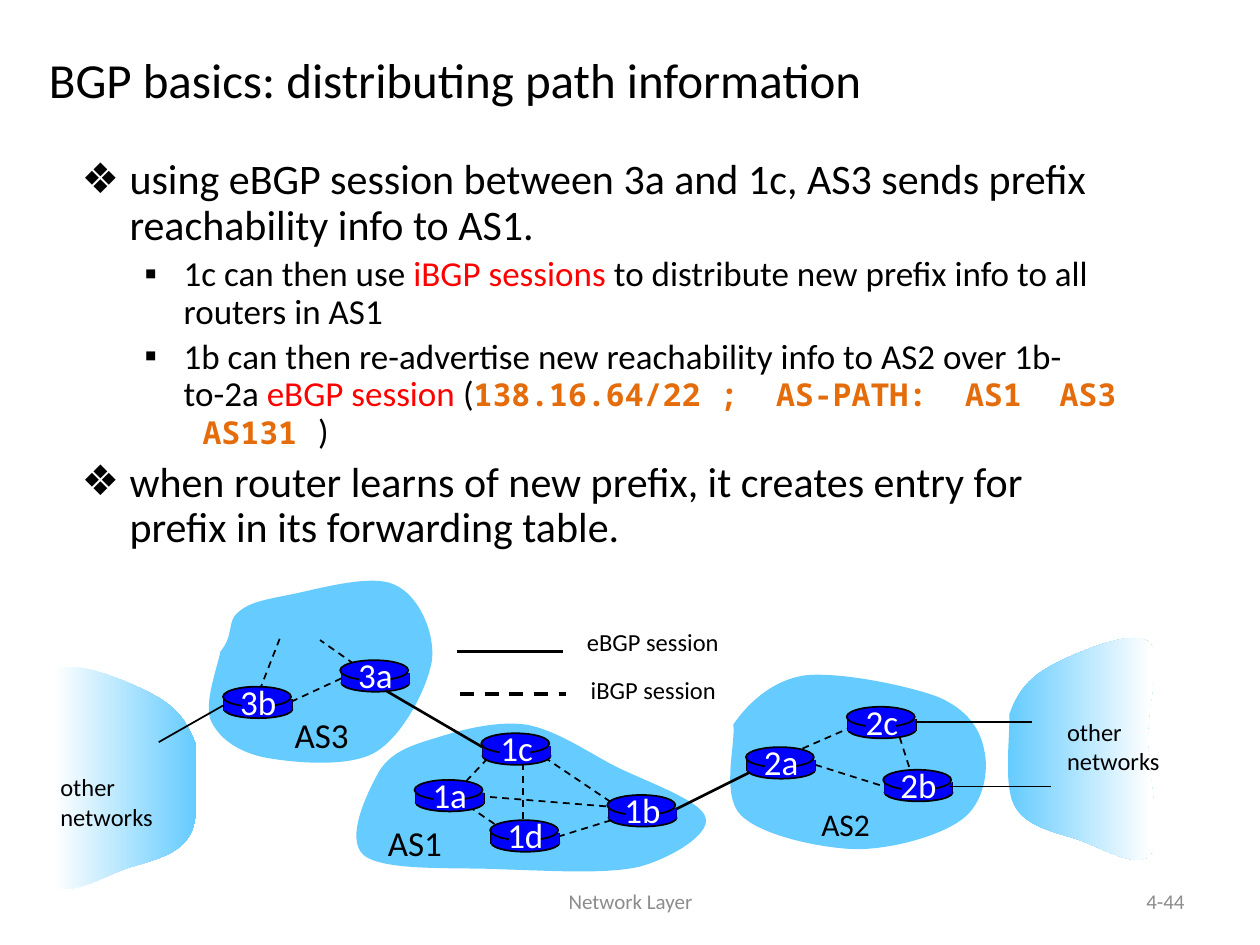
import pptx
import pptx.dml.color
import pptx.enum.dml
import pptx.enum.shapes
import pptx.enum.text
import pptx.oxml
import pptx.oxml.ns
import pptx.util
from pptx.util import Inches

COLORS = {"ink": "000000", "paper": "FFFFFF", "cloud": "66CCFF", "router": "0000FF",
          "term": "FF0000", "route": "E46C0A", "footer": "8C8C8C"}
FONT, MONO = "Calibri", "Noto Sans Mono"
SHAPE = pptx.enum.shapes.MSO_SHAPE
ALIGN = pptx.enum.text.PP_ALIGN
MIDDLE = pptx.enum.text.MSO_ANCHOR.MIDDLE
NAMESPACE = pptx.oxml.ns.nsdecls("a")

# Outlines in inches from the box corner: a start point, then Bezier triples.
OTHER_NETWORK = [(.05, .68), (.11, .52), (.19, .4), (.37, .3), (.55, .2), (1.02, 0), (1.15, .1),
                 (1.28, .19), (1.14, .6), (1.15, .88), (1.15, 1.17), (1.27, 1.66), (1.17, 1.79),
                 (1.08, 1.92), (.77, 1.73), (.59, 1.67), (.4, 1.61), (.18, 1.57), (.09, 1.4),
                 (0, 1.24), (.06, .83), (.05, .68)]
OTHER_WIDTH = 1.28
SYSTEMS = [
    {"name": "AS2", "size": 18, "box": (5.72, 5.33), "name_at": (.7, 1.01),
     "outline": [(.1, .42), (.21, .26), (.4, .07), (.67, .03), (.94, 0), (1.48, .11), (1.72, .2),
                 (1.96, .3), (2.06, .46), (2.09, .62), (2.13, .78), (2.09, 1.04), (1.92, 1.17),
                 (1.75, 1.3), (1.37, 1.41), (1.07, 1.41), (.78, 1.4), (.32, 1.3), (.16, 1.14),
                 (0, .98), (.12, .57), (.1, .42)],
     "links": [(.56, .65, 1.04, .44), (.75, .74, 1.29, .91), (1.42, .52, 1.5, .77)],
     "routers": {"2a": (.2, .6), "2c": (1, .28), "2b": (1.29, .78)}},
    {"name": "AS3", "size": 20, "box": (1.62, 4.55), "name_at": (.62, 1.06),
     "outline": [(.13, .62), (.24, .49), (.18, .38), (.27, .31), (.36, .23), (.48, .21), (.68, .17),
                 (.89, .13), (1.32, 0), (1.51, .09), (1.7, .17), (1.83, .46), (1.81, .68),
                 (1.78, .9), (1.58, 1.29), (1.36, 1.42), (1.14, 1.55), (.68, 1.5), (.47, 1.46),
                 (.25, 1.41), (.11, 1.3), (.05, 1.16), (0, 1.02), (.11, .73), (.13, .62)],
     "links": [(.69, 1.02, 1.12, .82), (1.19, .72, .92, .53), (.6, .52, .44, .93)],
     "routers": {"3b": (.15, .9), "3a": (1.08, .69)}},
    {"name": "AS1", "size": 20, "box": (2.73, 5.72), "name_at": (.25, .75),
     "outline": [(.28, .4), (.38, .24), (.55, .19), (.75, .13), (.94, .07), (1.21, 0), (1.44, .03),
                 (1.67, .07), (1.89, .22), (2.13, .35), (2.36, .47), (2.84, .63), (2.87, .77),
                 (2.91, .9), (2.6, 1.09), (2.34, 1.16), (2.07, 1.22), (1.63, 1.19), (1.27, 1.18),
                 (.91, 1.16), (.33, 1.2), (.16, 1.07), (0, .94), (.19, .56), (.28, .4)],
     "links": [(1.14, .3, .97, .48), (1.42, .34, 1.42, .84), (1.59, .29, 2.14, .66),
               (2.12, .79, 1.7, .92), (2.08, .68, 1.09, .6), (.99, .68, 1.21, .83)],
     "routers": {"1c": (1.09, .1), "1a": (.56, .47), "1d": (1.16, .79), "1b": (2.09, .59)}},
]
BULLETS = [
    (0, [("using eBGP session between 3a and 1c, AS3 sends prefix reachability info to AS1.", {})]),
    (1, [("1c can then use ", {}), ("iBGP sessions", {"color": "term"}),
         (" to distribute new prefix info to all routers in AS1", {})]),
    (1, [("1b can then re-advertise new reachability info to AS2 over 1b-to-2a ", {}),
         ("eBGP session ", {"color": "term"}), ("(", {}),
         ("138.16.64/22 ;  AS-PATH:  AS1  AS3  AS131",
          {"size": 18, "color": "route", "name": MONO, "bold": True}),
         (" ", {"color": "route", "name": MONO, "bold": True}), (")", {})]),
    (0, [("when router learns of new prefix, it creates entry for prefix in its forwarding table.",
          {})]),
]
LEVELS = [{"size": 24, "indent": .38, "hang": .38, "bullet": "❖"},
          {"size": 20, "indent": .81, "hang": .31, "bullet": "▪"}]


def rgb(color):
    return pptx.dml.color.RGBColor.from_string(COLORS[color])


def add_run(paragraph, text, size, color="ink", name=FONT, bold=False):
    run = paragraph.add_run()
    run.text = text
    font_values = {"size": pptx.util.Pt(size), "name": name, "bold": bold}
    for attribute, value in font_values.items():
        setattr(run.font, attribute, value)
    run.font.color.rgb = rgb(color)


def add_text(shapes, box, lines, size, color="ink", align=ALIGN.LEFT, anchor=None, wrap=False):
    frame = shapes.add_textbox(*map(Inches, box)).text_frame
    frame.word_wrap = wrap
    if not wrap:
        frame.auto_size = pptx.enum.text.MSO_AUTO_SIZE.SHAPE_TO_FIT_TEXT
    if anchor is not None:
        frame.vertical_anchor = anchor
    for index, line in enumerate(lines):
        paragraph = frame.add_paragraph() if index else frame.paragraphs[0]
        paragraph.alignment = align
        add_run(paragraph, line, size, color)
    return frame


def add_line(shapes, ends, width=1, dashed=False):
    link = shapes.add_connector(pptx.enum.shapes.MSO_CONNECTOR.STRAIGHT, *map(Inches, ends))
    link.line.color.rgb = rgb("ink")
    link.line.width = pptx.util.Pt(width)
    if dashed:
        link.line.dash_style = pptx.enum.dml.MSO_LINE.DASH
    link._element.spPr.append(pptx.oxml.parse_xml(f"<a:effectLst {NAMESPACE}/>"))


def add_cloud(shapes, left, top, outline):
    """Build the outline through its anchors, then bend each segment into a Bezier curve."""
    points = [(Inches(left + x), Inches(top + y)) for x, y in outline]
    builder = shapes.build_freeform(*points[0])
    builder.add_line_segments(points[3::3], close=True)
    cloud = builder.convert_to_shape()
    segments = list(cloud._element.iter(pptx.oxml.ns.qn("a:lnTo")))
    for index, segment in enumerate(segments):
        triple = "".join(f'<a:pt x="{x - cloud.left}" y="{y - cloud.top}"/>'
                         for x, y in points[3 * index + 1:3 * index + 4])
        segment.getparent().replace(segment, pptx.oxml.parse_xml(
            f"<a:cubicBezTo {NAMESPACE}>{triple}</a:cubicBezTo>"))
    cloud.shadow.inherit = False
    cloud.line.fill.background()
    cloud.fill.solid()
    cloud.fill.fore_color.rgb = rgb("cloud")
    return cloud


def add_router(slide, left, top, label):
    shapes = slide.shapes.add_group_shape().shapes

    def part(kind, x, y, width, height, outlined):
        piece = shapes.add_shape(kind, *map(Inches, (left + x, top + y, width, height)))
        piece.shadow.inherit = False
        piece.fill.solid()
        piece.fill.fore_color.rgb = rgb("router")
        if outlined:
            piece.line.color.rgb = rgb("ink")
            piece.line.width = pptx.util.Pt(1)
        else:
            piece.line.fill.background()

    part(SHAPE.OVAL, .01, .11, .54, .14, True)
    for side in (left + .01, left + .55):
        add_line(shapes, (side, top + .1, side, top + .19))
    part(SHAPE.RECTANGLE, .01, .1, .54, .09, False)
    part(SHAPE.OVAL, 0, 0, .54, .16, True)
    part(SHAPE.RECTANGLE, .15, .02, .24, .21, False)
    add_text(shapes, (left + .03, top - .1, .5, .43), [label], 20, "paper", ALIGN.CENTER)


def add_system(slide, system):
    """Draw one autonomous system: cloud, iBGP links, routers and name."""
    left, top = system["box"]
    add_cloud(slide.shapes, left, top, system["outline"])
    for x1, y1, x2, y2 in system["links"]:
        add_line(slide.shapes, (left + x1, top + y1, left + x2, top + y2), dashed=True)
    for label, (x, y) in system["routers"].items():
        add_router(slide, left + x, top + y, label)
    x, y = system["name_at"]
    add_text(slide.shapes, (left + x, top + y, .73, .43), [system["name"]], system["size"])


def add_other_network(slide, left, top, label_at, mirrored=False):
    outline = [(OTHER_WIDTH - x if mirrored else x, y) for x, y in OTHER_NETWORK]
    fill = add_cloud(slide.shapes, left, top, outline).fill
    fill.gradient()
    fill.gradient_angle = 0
    fades = ("paper", "cloud") if mirrored else ("cloud", "paper")
    for stop, color in zip(fill.gradient_stops, fades):
        stop.color.rgb = rgb(color)
    add_text(slide.shapes, (left + label_at[0], top + label_at[1], .98, .57),
             ["other", "networks"], 14)


def add_bullets(slide, box):
    frame = add_text(slide.shapes, box, [], 24, wrap=True)
    for index, (depth, runs) in enumerate(BULLETS):
        level = LEVELS[depth]
        paragraph = frame.add_paragraph() if index else frame.paragraphs[0]
        values = {"level": depth, "line_spacing": .9,
                  "space_before": pptx.util.Pt(level["size"] * .2)}
        for attribute, value in values.items():
            setattr(paragraph, attribute, value)
        properties = paragraph._p.get_or_add_pPr()
        properties.set("marL", str(Inches(level["indent"])))
        properties.set("indent", str(-Inches(level["hang"])))
        for tag in (f'buFont {NAMESPACE} typeface="{FONT}"',
                    f'buChar {NAMESPACE} char="{level["bullet"]}"'):
            properties.append(pptx.oxml.parse_xml(f"<a:{tag}/>"))
        for text, style in runs:
            add_run(paragraph, text, **{"size": level["size"], **style})


def add_legend(slide, left, top):
    for row, (label, dashed) in enumerate([("eBGP session", False), ("iBGP session", True)]):
        x, y = left + row * .02, top + row * .34
        add_line(slide.shapes, (x, y, x + .84, y), 2, dashed)
        add_text(slide.shapes, (left + .93 + row * .03, top - .24 + row * .38, 1.4, .33), [label], 14)


def main():
    deck = pptx.Presentation()
    deck.slide_width, deck.slide_height = Inches(10), Inches(7.5)
    slide = deck.slides.add_slide(deck.slide_layouts[6])
    add_text(slide.shapes, (.29, 0, 8.79, 1.25), ["BGP basics: distributing path information"], 28,
             anchor=MIDDLE, wrap=True)
    add_bullets(slide, (.55, 1.21, 8.5, 3.09))
    add_other_network(slide, 7.96, 4.99, (.41, .65))
    add_other_network(slide, .32, 5.22, (.06, .86), mirrored=True)
    for system in SYSTEMS:
        add_system(slide, system)
    for ends, width in [((7.26, 5.73, 8.19, 5.73), .75), ((7.53, 6.24, 8.34, 6.24), .75),
                        ((1.77, 5.6, 1.26, 5.89), 1), ((5.37, 6.42, 5.95, 6.13), 1.5),
                        ((3.06, 5.48, 3.83, 5.93), 1.5)]:
        add_line(slide.shapes, ends, width)
    add_legend(slide, 3.63, 5.17)
    for left, width, text, align in [(3.42, 3.17, "Network Layer", ALIGN.CENTER),
                                     (7.17, 2.33, "4-44", ALIGN.RIGHT)]:
        add_text(slide.shapes, (left, 6.95, width, .4), [text], 12, "footer", align, MIDDLE, True)
    deck.save("out.pptx")


if __name__ == "__main__":
    main()
